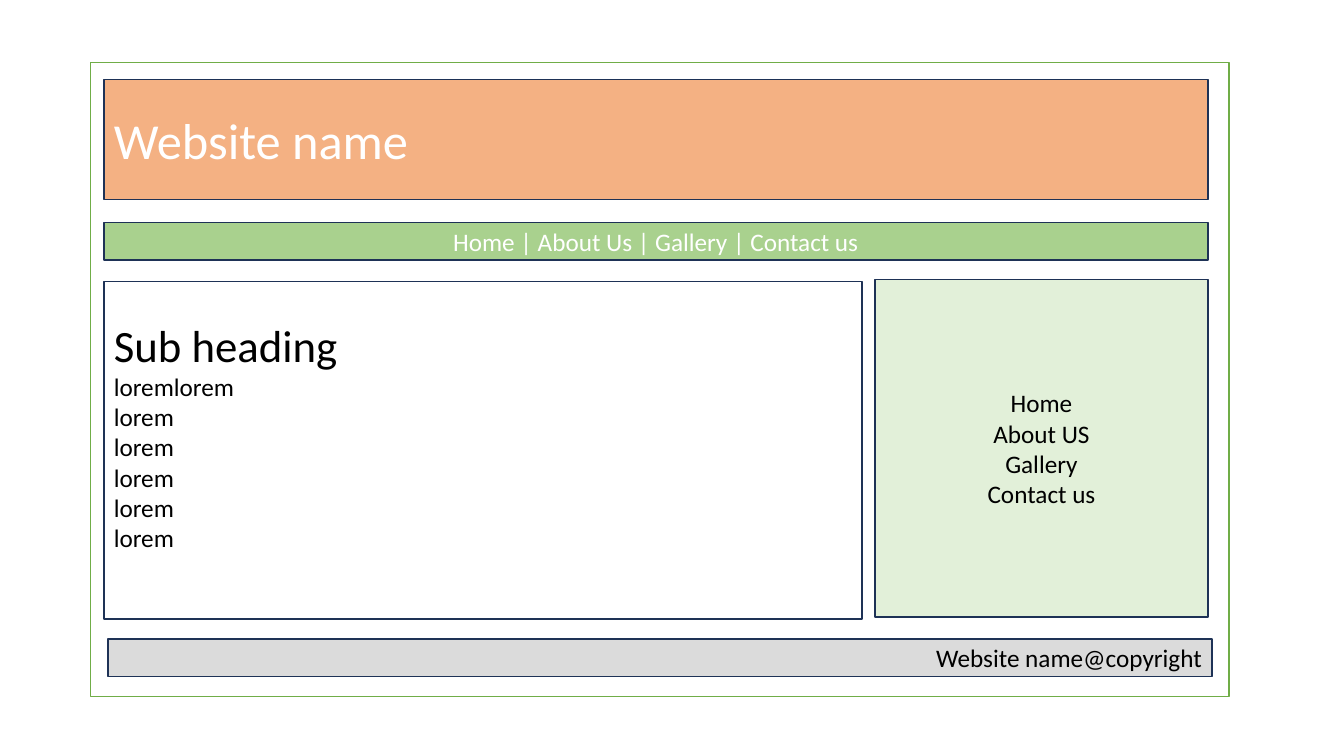
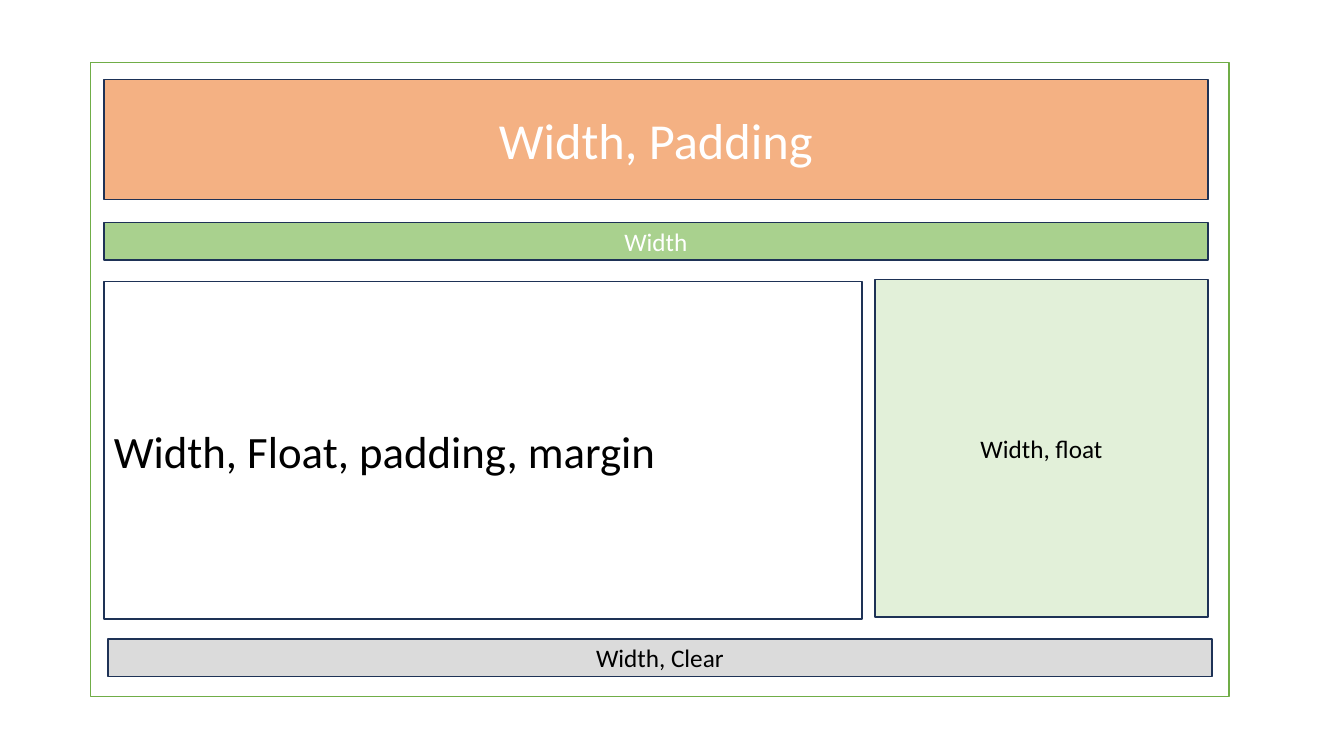
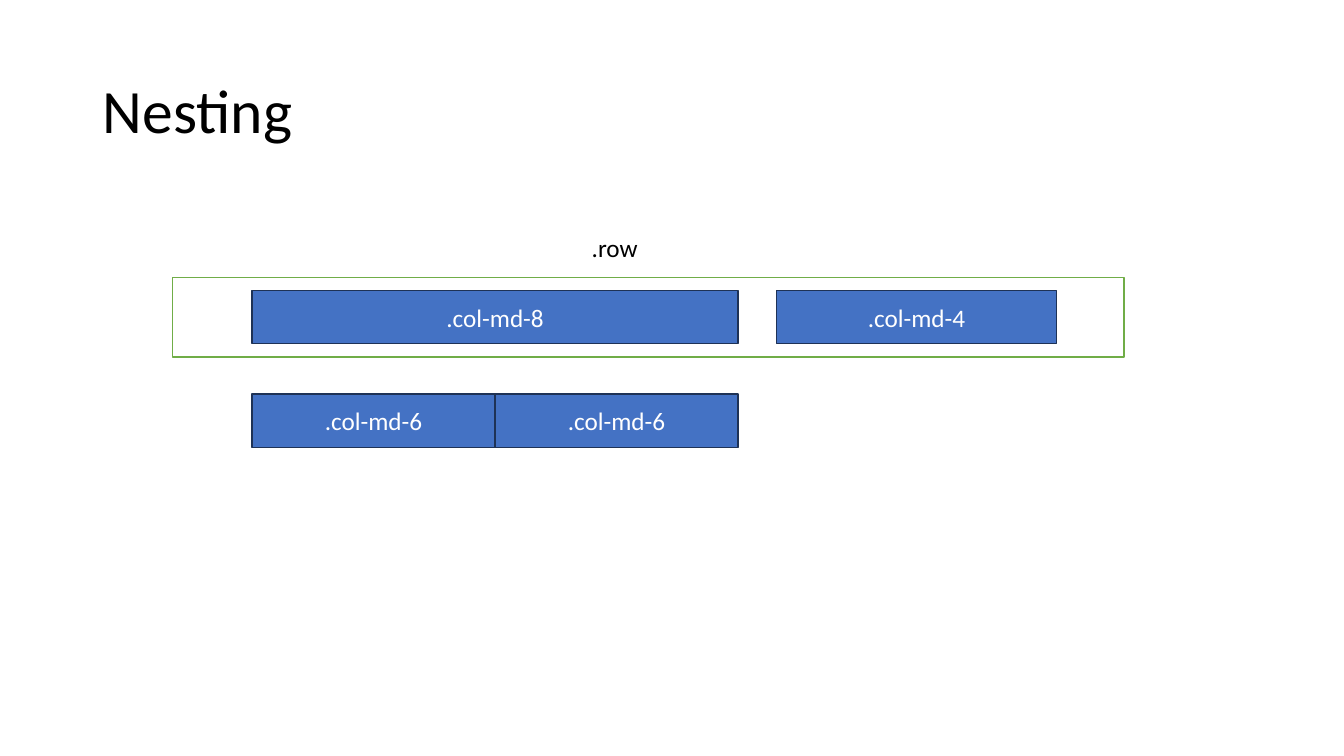
from pptx import Presentation
from pptx.dml.color import RGBColor
from pptx.enum import shapes, text
from pptx.util import Inches, Pt

FONT = "Calibri"
WHITE = RGBColor(0xFF, 0xFF, 0xFF)
BLACK = RGBColor(0x00, 0x00, 0x00)
NAVY = RGBColor(0x1E, 0x32, 0x56)
GREEN = RGBColor(0x70, 0xAD, 0x47)
LEAF = RGBColor(0xA9, 0xD1, 0x8E)
MINT = RGBColor(0xE2, 0xF0, 0xD9)
PEACH = RGBColor(0xF4, 0xB1, 0x83)
GREY = RGBColor(0xDB, 0xDB, 0xDB)
BLUE = RGBColor(0x44, 0x72, 0xC4)
LEFT, MID, RIGHT = text.PP_ALIGN.LEFT, text.PP_ALIGN.CENTER, text.PP_ALIGN.RIGHT


def write(shape, lines, color, align=MID):
    """Fill a shape with (wording, point size) lines, one paragraph each."""
    frame = shape.text_frame
    frame.word_wrap = True
    frame.vertical_anchor = text.MSO_ANCHOR.MIDDLE
    for i, (words, size) in enumerate(lines):
        para = frame.add_paragraph() if i else frame.paragraphs[0]
        para.alignment = align
        run = para.add_run()
        run.text = words
        run.font.name = FONT
        run.font.size = Pt(size)
        run.font.color.rgb = color


def box(slide, place, fill, edge=NAVY):
    rect = slide.shapes.add_shape(shapes.MSO_SHAPE.RECTANGLE, *map(Inches, place))
    rect.shadow.inherit = False
    rect.fill.solid()
    rect.fill.fore_color.rgb = fill
    rect.line.color.rgb = edge
    rect.line.width = Pt(1)
    return rect


deck = Presentation()
deck.slide_width, deck.slide_height = Inches(13.33), Inches(7.5)
blank = deck.slide_layouts[6]

# Page wireframe: place, fill and text colour of each part
PARTS = [
    ((1.03, 0.79, 10.95, 1.19), PEACH, WHITE),  # header
    ((1.03, 2.21, 10.95, 0.37), LEAF, WHITE),  # menu
    ((1.07, 6.34, 10.95, 0.37), GREY, BLACK),  # footer
    ((1.03, 2.79, 7.52, 3.35), WHITE, BLACK),  # main
    ((8.68, 2.77, 3.3, 3.35), MINT, BLACK),  # sidebar
]
lorem = [("loremlorem", 18)] + [("lorem", 18)] * 5
links = [(name, 18) for name in ("Home", "About US", "Gallery", "Contact us")]

# Lines, alignment and bottom inset for each part, page by page
PAGES = [
    [
        ([("Website name", 36)], LEFT, 0.05),
        ([("Home | About Us | Gallery | Contact us", 18)], MID, 0.05),
        ([("Website name@copyright", 18)], RIGHT, 0.05),
        ([("Sub heading", 32)] + lorem, LEFT, 0.35),
        (links, MID, 0.05),
    ],
    [
        ([("Width, Padding", 36)], MID, 0.05),
        ([("Width", 18)], MID, 0.05),
        ([("Width, Clear", 18)], MID, 0.05),
        ([("Width, Float, padding, margin", 32)], LEFT, 0.05),
        ([("Width, float", 18)], MID, 0.05),
    ],
]
for page in PAGES:
    slide = deck.slides.add_slide(blank)
    box(slide, (0.9, 0.62, 11.29, 6.29), WHITE, GREEN)
    for (place, fill, color), (lines, align, inset) in zip(PARTS, page):
        part = box(slide, place, fill)
        write(part, lines, color, align)
        part.text_frame.margin_bottom = Inches(inset)

# Nested grid
slide = deck.slides.add_slide(blank)
title = slide.shapes.add_textbox(*map(Inches, (0.92, 0.4, 11.5, 1.45)))
write(title, [("Nesting", 44)], BLACK, LEFT)
title.text_frame.paragraphs[0].line_spacing = 0.9

box(slide, (1.71, 2.75, 9.44, 0.79), WHITE, GREEN)
label = slide.shapes.add_textbox(*map(Inches, (5.77, 2.26, 0.66, 0.4)))
write(label, [(".row", 18)], BLACK, LEFT)
label.text_frame.word_wrap = False

for left, top, width, span in [
    (2.5, 2.88, 4.82, 8),
    (7.7, 2.88, 2.78, 4),
    (2.5, 3.91, 2.41, 6),
    (4.91, 3.91, 2.41, 6),
]:
    cell = box(slide, (left, top, width, 0.53), BLUE)
    write(cell, [(f".col-md-{span}", 18)], WHITE)

deck.save("out.pptx")
